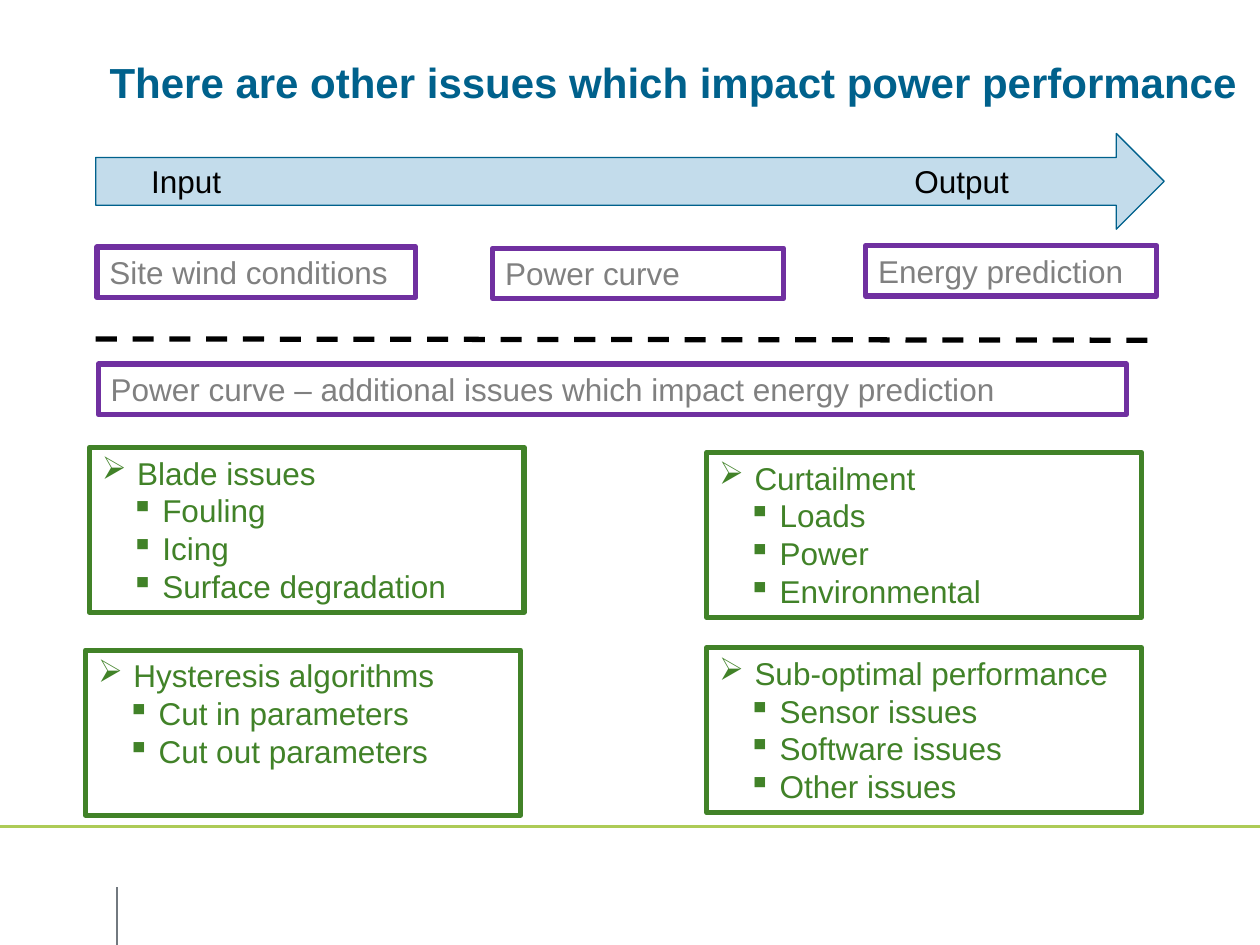
from dataclasses import dataclass

import pptx
import pptx.dml.color
import pptx.enum.dml
import pptx.enum.shapes
import pptx.enum.text
import pptx.oxml.ns
import pptx.util
from lxml import etree

COLORS = {
    "title": "00618C", "arrow": "C3DCEB", "stage": "7030A0", "issue": "418228",
    "gray": "808080", "black": "000000", "footer": "ADCB57", "tick": "72797F",
}
FONT = "Arial"
COLUMNS, ROWS = 100, 75
WIDTH, HEIGHT = pptx.util.Inches(10), pptx.util.Inches(7.5)
SHAPES = pptx.enum.shapes.MSO_SHAPE
ANCHORS = pptx.enum.text.MSO_ANCHOR


@dataclass(frozen=True)
class Area:
    """A place on the grid, in columns and rows."""
    column: float
    row: float
    columns: float
    rows: float

    def emu(self) -> tuple[int, int, int, int]:
        return across(self.column), down(self.row), across(self.columns), down(self.rows)


@dataclass(frozen=True)
class Stage:
    label: str
    area: Area


@dataclass(frozen=True)
class Issue:
    heading: str
    details: tuple[str, ...]
    column: float
    row: float


@dataclass(frozen=True)
class Rule:
    start: tuple[float, float]
    end: tuple[float, float]
    color: str
    weight: float
    dashed: bool = False


@dataclass(frozen=True)
class Bullet:
    symbol: str
    margin: float
    hanging: float


HEADING_BULLET = Bullet("➢", 0.28, 0.28)
DETAIL_BULLET = Bullet("▪", 0.48, 0.25)
ISSUE_COLUMNS, ISSUE_ROWS = 34.5, 13.1

STAGES = (
    Stage("Site wind conditions", Area(7.7, 19.6, 25.3, 4)),
    Stage("Energy prediction", Area(68.7, 19.5, 23.1, 4)),
    Stage("Power curve", Area(39.1, 19.7, 23.1, 4)),
    Stage("Power curve – additional issues which impact energy prediction",
          Area(7.8, 28.9, 81.6, 4)),
)
ISSUES = (
    Issue("Hysteresis algorithms", ("Cut in parameters", "Cut out parameters"), 6.8, 51.6),
    Issue("Sub-optimal performance",
          ("Sensor issues", "Software issues", "Other issues"), 56.1, 51.4),
    Issue("Curtailment", ("Loads", "Power", "Environmental"), 56.1, 35.9),
    Issue("Blade issues", ("Fouling", "Icing", "Surface degradation"), 7.1, 35.5),
)
FOOTER_RULES = (
    Rule((9.3, 70.4), (9.3, 75), "tick", 1),
    Rule((0, 65.6), (100, 65.6), "footer", 1.5),
)
DIVIDER = Rule((7.6, 26.9), (91.2, 27), "black", 3, dashed=True)


def across(columns: float) -> int:
    return round(WIDTH * columns / COLUMNS)


def down(rows: float) -> int:
    return round(HEIGHT * rows / ROWS)


def rgb(color: str) -> pptx.dml.color.RGBColor:
    return pptx.dml.color.RGBColor.from_string(COLORS[color])


def add_bullet(paragraph, bullet: Bullet) -> None:
    properties = paragraph._p.get_or_add_pPr()
    properties.set("marL", str(pptx.util.Inches(bullet.margin)))
    properties.set("indent", str(-pptx.util.Inches(bullet.hanging)))
    mark = etree.SubElement(properties, pptx.oxml.ns.qn("a:buChar"))
    mark.set("char", bullet.symbol)


def write(frame, text: str, *, color: str, size: float = 18, bold: bool = False,
          bullet: Bullet | None = None, level: int = 0, wrap: bool = True,
          anchor=ANCHORS.TOP) -> None:
    """Fill the frame's empty first paragraph, or append a new one."""
    frame.word_wrap = wrap
    frame.vertical_anchor = anchor
    paragraph = frame.add_paragraph() if frame.text else frame.paragraphs[0]
    paragraph.alignment = pptx.enum.text.PP_ALIGN.LEFT
    paragraph.level = level
    if bullet:
        add_bullet(paragraph, bullet)
    run = paragraph.add_run()
    run.text = text
    run.font.name = FONT
    run.font.size = pptx.util.Pt(size)
    run.font.bold = bold
    run.font.color.rgb = rgb(color)


def draw_shape(slide, kind, area: Area, line: str, weight: float, fill: str | None = None):
    shape = slide.shapes.add_shape(kind, *area.emu())
    shape.shadow.inherit = False
    if fill:
        shape.fill.solid()
        shape.fill.fore_color.rgb = rgb(fill)
    else:
        shape.fill.background()
    shape.line.color.rgb = rgb(line)
    shape.line.width = pptx.util.Pt(weight)
    return shape


def draw_rule(slide, rule: Rule) -> None:
    connector = slide.shapes.add_connector(
        pptx.enum.shapes.MSO_CONNECTOR.STRAIGHT,
        across(rule.start[0]), down(rule.start[1]), across(rule.end[0]), down(rule.end[1]))
    connector.line.color.rgb = rgb(rule.color)
    connector.line.width = pptx.util.Pt(rule.weight)
    if rule.dashed:
        connector.line.dash_style = pptx.enum.dml.MSO_LINE.DASH
    etree.SubElement(connector._element.spPr, pptx.oxml.ns.qn("a:effectLst"))


def draw_flow_arrow(slide) -> None:
    arrow = draw_shape(slide, SHAPES.RIGHT_ARROW, Area(7.6, 10.6, 84.8, 7.6),
                       "title", 0.75, fill="arrow")
    arrow.text_frame.margin_left = across(4.4)
    write(arrow.text_frame, "Input", color="black", anchor=ANCHORS.MIDDLE)
    output = slide.shapes.add_textbox(*Area(71.6, 12.4, 9.6, 4).emu())
    write(output.text_frame, "Output", color="black", wrap=False)


def draw_title(slide) -> None:
    frame = slide.shapes.add_textbox(*Area(8.7, 3.3, 91.3, 5.2).emu()).text_frame
    frame.margin_left = frame.margin_right = frame.margin_top = frame.margin_bottom = 0
    write(frame, "There are other issues which impact power performance",
          color="title", size=24, bold=True, anchor=ANCHORS.BOTTOM)


def draw_stage(slide, stage: Stage) -> None:
    box = draw_shape(slide, SHAPES.RECTANGLE, stage.area, "stage", 3)
    write(box.text_frame, stage.label, color="gray")


def draw_issue(slide, issue: Issue) -> None:
    area = Area(issue.column, issue.row, ISSUE_COLUMNS, ISSUE_ROWS)
    frame = draw_shape(slide, SHAPES.RECTANGLE, area, "issue", 3).text_frame
    write(frame, issue.heading, color="issue", bullet=HEADING_BULLET)
    for detail in issue.details:
        write(frame, detail, color="issue", bullet=DETAIL_BULLET, level=1)


def main() -> None:
    deck = pptx.Presentation()
    deck.slide_width, deck.slide_height = WIDTH, HEIGHT
    slide = deck.slides.add_slide(deck.slide_layouts[6])
    for rule in FOOTER_RULES:
        draw_rule(slide, rule)
    draw_flow_arrow(slide)
    draw_title(slide)
    for stage in STAGES:
        draw_stage(slide, stage)
    draw_rule(slide, DIVIDER)
    for issue in ISSUES:
        draw_issue(slide, issue)
    deck.save("out.pptx")


if __name__ == "__main__":
    main()
